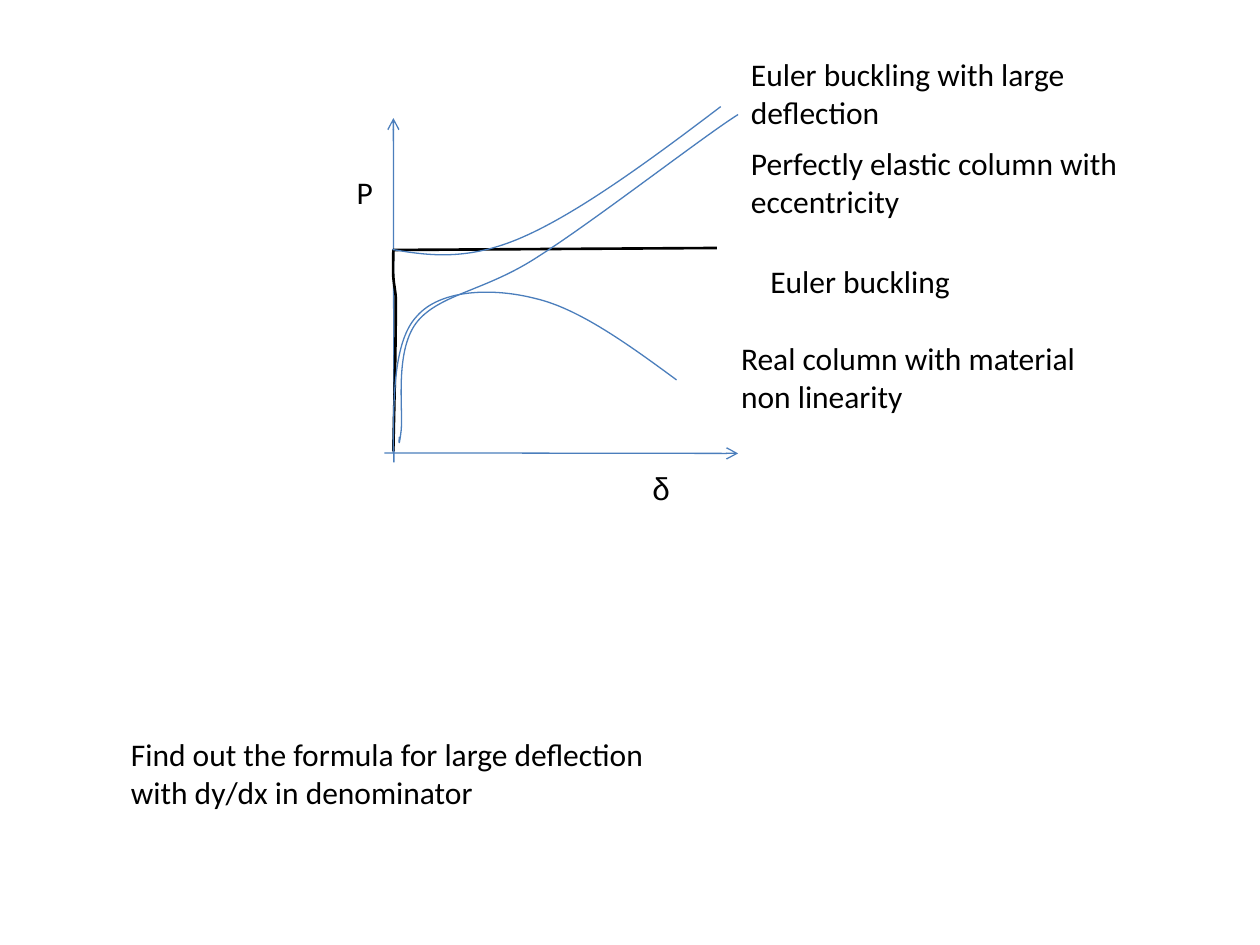
from lxml.etree import SubElement
from pptx import Presentation
from pptx.dml.color import RGBColor
from pptx.enum.shapes import MSO_CONNECTOR
from pptx.enum.text import MSO_AUTO_SIZE
from pptx.oxml.ns import qn
from pptx.util import Cm, Pt

BLACK, BLUE = "000000", "4B7EBC"


def color(hex_value):
    return RGBColor.from_string(hex_value)


def bend(freeform):
    """Turn each full three line segments into one cubic Bézier; a leftover stays straight."""
    lines = list(freeform._element.iter(qn("a:lnTo")))
    for first in range(0, len(lines) - 2, 3):
        cubic = lines[first].makeelement(qn("a:cubicBezTo"))
        lines[first].addprevious(cubic)
        for line in lines[first:first + 3]:
            cubic.append(line[0])
            line.getparent().remove(line)


deck = Presentation()
deck.slide_width, deck.slide_height = Cm(25.4), Cm(19.05)
slide = deck.slides.add_slide(deck.slide_layouts[6])

# Axes: deflection δ, then load P
for start_x, start_y, end_x, end_y in [(7.75, 9.13, 14.88, 9.14), (7.94, 9.32, 7.93, 2.38)]:
    axis = slide.shapes.add_connector(
        MSO_CONNECTOR.STRAIGHT, Cm(start_x), Cm(start_y), Cm(end_x), Cm(end_y))
    axis.line.color.rgb = color(BLUE)
    axis.line.width = Pt(0.75)
    SubElement(axis.line._get_or_add_ln(), qn("a:tailEnd"), type="arrow")
    SubElement(axis._element.spPr, qn("a:effectLst"))

# Load-deflection curves: a start, then control points in cm
euler_buckling = [
    (7.93, 9.1), (7.95, 8.08), (7.98, 7.06), (7.98, 6.05),
    (7.98, 5.89), (7.94, 5.74), (7.93, 5.59),
    (7.92, 5.41), (7.93, 5.23), (7.93, 5.04),
    (14.45, 5)]
large_deflection = [
    (7.91, 5.03), (8.66, 5.16), (9.45, 5.26), (10.54, 4.78),
    (11.66, 4.29), (13.11, 3.23), (14.53, 2.15)]
elastic_column = [
    (8.05, 8.81), (8.05, 8.79), (8.03, 9.12), (8.08, 8.74),
    (8.15, 8.36), (7.93, 7.11), (8.4, 6.5),
    (8.86, 5.92), (9.8, 5.87), (10.87, 5.16),
    (11.96, 4.47), (14.22, 2.72), (14.88, 2.31)]
real_column = [
    (7.93, 9.14), (7.93, 8.03), (7.93, 6.88), (8.4, 6.38),
    (8.86, 5.84), (9.91, 5.79), (10.8, 6.02),
    (11.66, 6.22), (12.65, 6.93), (13.64, 7.66)]

for controls, line_color, width in [
    (euler_buckling, BLACK, 1.5),
    (large_deflection, BLUE, 0.75),
    (elastic_column, BLUE, 0.75),
    (real_column, BLUE, 0.75),
]:
    start, *rest = [(Cm(x), Cm(y)) for x, y in controls]
    builder = slide.shapes.build_freeform(*start)
    builder.add_line_segments(rest, close=False)
    curve = builder.convert_to_shape()
    bend(curve)
    curve.shadow.inherit = False
    curve.fill.background()
    curve.line.color.rgb = color(line_color)
    curve.line.width = Pt(width)

# Labels
for wording, left, top, width, height, font in [
    ("P", 6.94, 3.37, 1.78, 1.03, "Calibri"),
    ("δ", 12.9, 9.33, 1.78, 1.03, "Arial"),
    ("Euler buckling with large deflection", 14.89, 0.99, 7.95, 1.8, "Calibri"),
    ("Perfectly elastic column with eccentricity", 14.89, 2.78, 7.95, 1.8, "Calibri"),
    ("Euler buckling", 15.28, 5.16, 5.36, 1.03, "Calibri"),
    ("Real column with material non linearity", 14.69, 6.71, 7.54, 1.8, "Calibri"),
    ("Find out the formula for large deflection with dy/dx in denominator",
     2.39, 14.69, 11.3, 1.8, "Calibri"),
]:
    label = slide.shapes.add_textbox(Cm(left), Cm(top), Cm(width), Cm(height)).text_frame
    label.word_wrap = True
    label.auto_size = MSO_AUTO_SIZE.SHAPE_TO_FIT_TEXT
    label.text = wording
    run_font = label.paragraphs[0].runs[0].font
    run_font.name = font
    run_font.size = Pt(18)
    run_font.color.rgb = color(BLACK)

deck.save("out.pptx")
